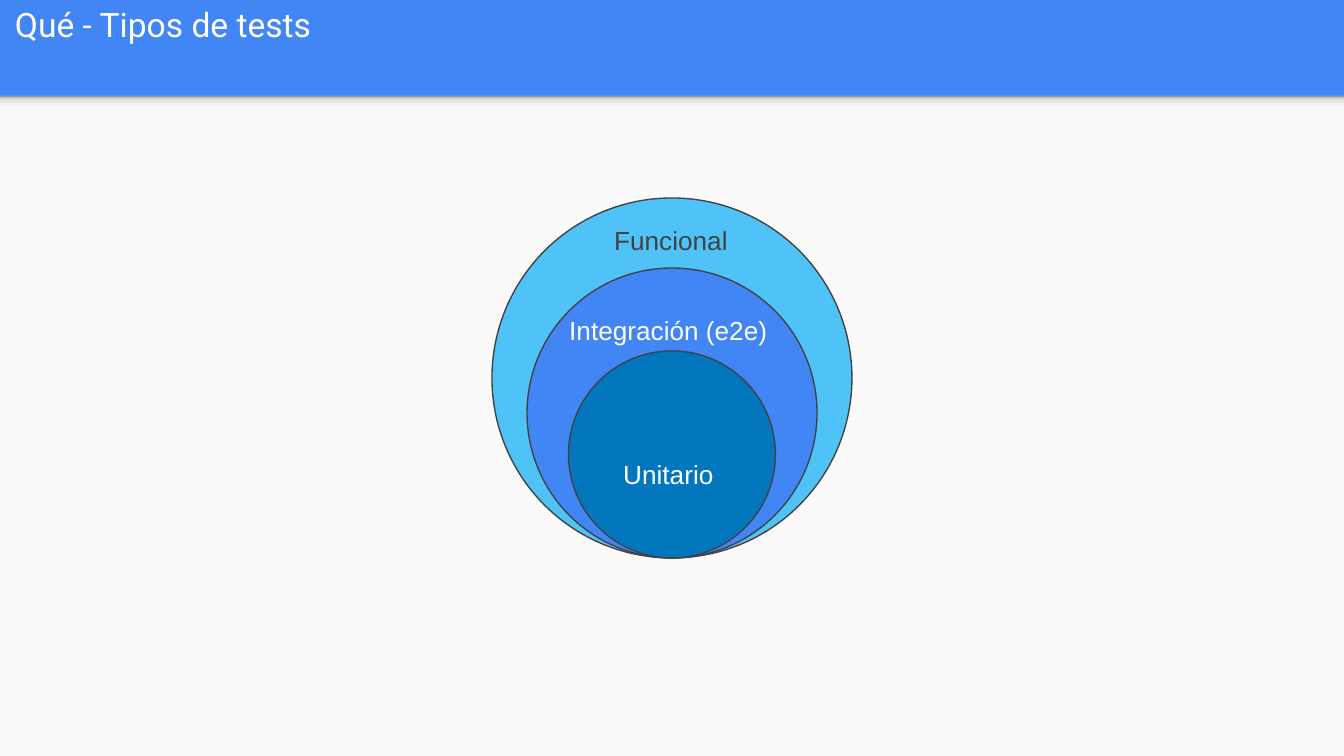
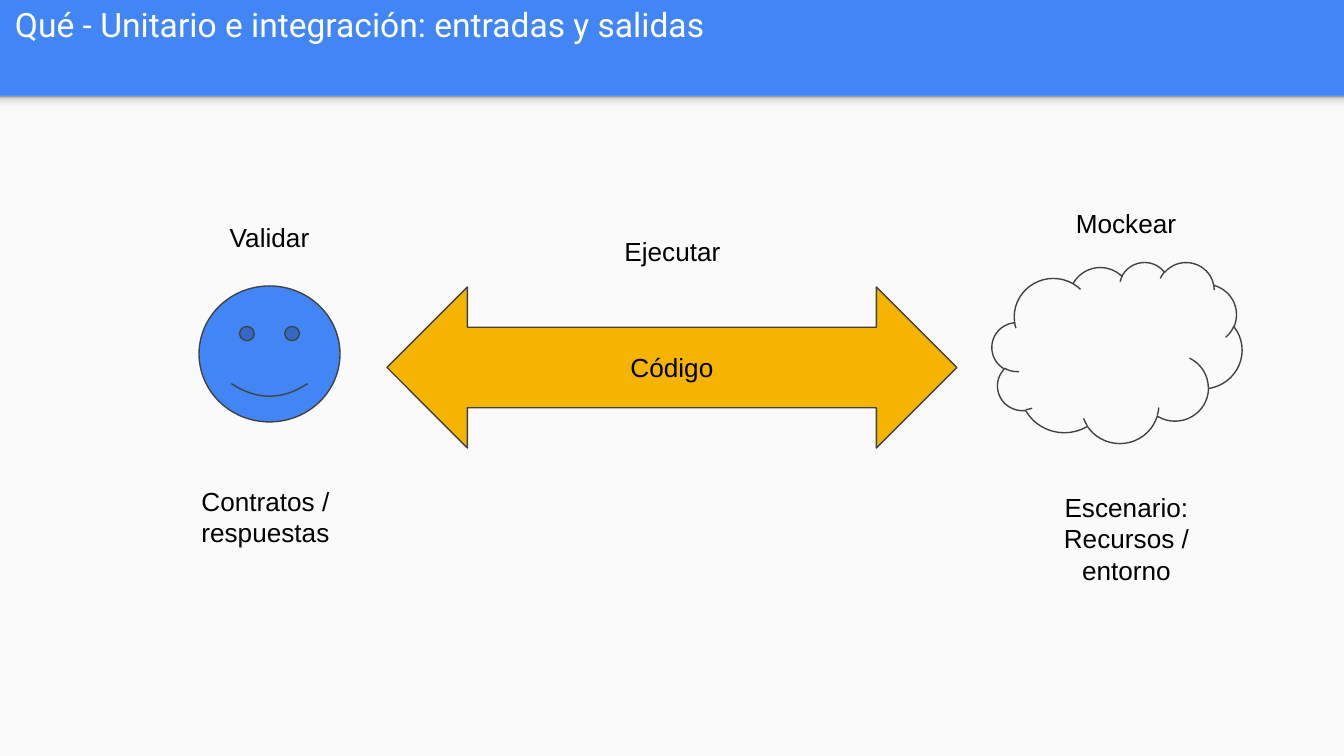
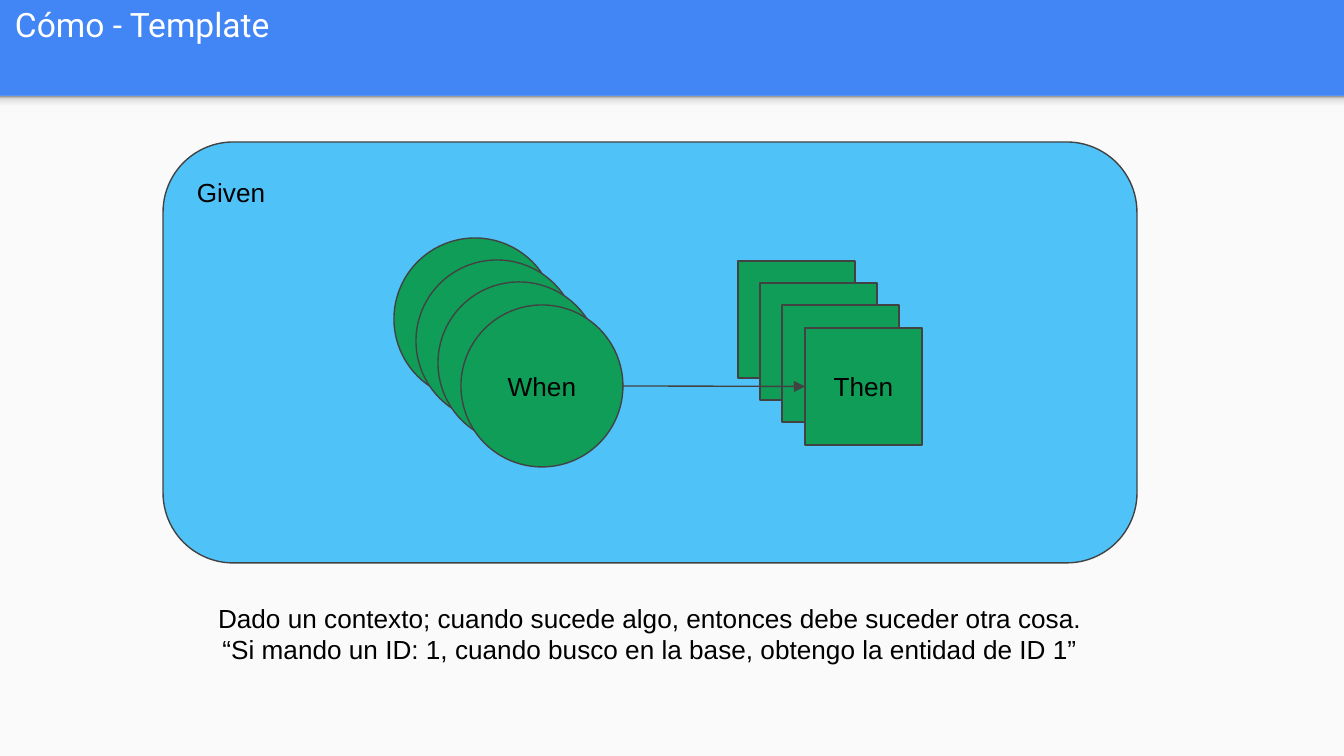
import copy
import pptx
import pptx.dml.color
import pptx.enum.dml
import pptx.enum.shapes
import pptx.enum.text
import pptx.oxml.ns
import pptx.util

RGB = pptx.dml.color.RGBColor
MSO = pptx.enum.shapes.MSO_SHAPE
ALIGN = pptx.enum.text.PP_ALIGN
ANCHOR = pptx.enum.text.MSO_ANCHOR
qn = pptx.oxml.ns.qn

BLUE = RGB(0x42, 0x85, 0xF4)
SKY = RGB(0x4F, 0xC3, 0xF7)
DEEP = RGB(0x02, 0x77, 0xBD)
GREEN = RGB(0x0F, 0x9D, 0x58)
AMBER = RGB(0xF4, 0xB4, 0x00)
PAPER = RGB(0xFA, 0xFA, 0xFA)
GREY = RGB(0x42, 0x42, 0x42)
BLACK = RGB(0x00, 0x00, 0x00)
WHITE = RGB(0xFF, 0xFF, 0xFF)
SHADE = [(0, RGB(0xF9, 0xF9, 0xF9)), (0.36, RGB(0xF9, 0xF9, 0xF9)),
         (0.8, RGB(0xDE, 0xDE, 0xDE)), (1, RGB(0x99, 0x99, 0x99))]
PX = 914400 / 134.4
W, H, HEAD = 1344, 756, 96
INSET = pptx.util.Inches(0.1)


def add_shape(slide, kind, box, fill):
    sp = slide.shapes.add_shape(kind, *[round(v * PX) for v in box])
    sp.shadow.inherit = False
    sp.fill.solid()
    sp.fill.fore_color.rgb = fill
    sp.line.color.rgb = GREY
    sp.line.width = pptx.util.Pt(0.75)
    return sp


def write(sp, text, color=BLACK, align=ALIGN.CENTER, anchor=ANCHOR.TOP,
          font="Arial", size=14, margins=(INSET,) * 4):
    tf = sp.text_frame
    tf.word_wrap = True
    tf.auto_size = pptx.enum.text.MSO_AUTO_SIZE.NONE
    tf.vertical_anchor = anchor
    tf.margin_left, tf.margin_top, tf.margin_right, tf.margin_bottom = margins
    for i, line in enumerate(text.split("\n")):
        p = tf.add_paragraph() if i else tf.paragraphs[0]
        p.alignment = align
        for j, part in enumerate(line.split("\v")):
            if j:
                p.add_line_break()
            r = p.add_run()
            r.text = part
            r.font.name = font
            r.font.size = pptx.util.Pt(size)
            r.font.color.rgb = color


prs = pptx.Presentation()
prs.slide_width = round(W * PX)
prs.slide_height = round(H * PX)

layout = prs.slide_layouts[5]
layout.background.fill.solid()
layout.background.fill.fore_color.rgb = BLUE
title = layout.placeholders[0]
title.left, title.top, title.width, title.height = [round(v * PX) for v in (15, 3, 1297, 89)]

slides = []
for text in ["Qué - Tipos de tests",
             "Qué - Unitario e integración: entradas y salidas",
             "Cómo - Template"]:
    slide = prs.slides.add_slide(layout)
    write(slide.shapes.title, text, WHITE, ALIGN.LEFT, font="Roboto", size=18,
          margins=(0, pptx.util.Inches(0.01), 0, 0))
    slides.append(slide)
types, flow, template = slides

panel = add_shape(types, MSO.RECTANGLE, (0, HEAD, W, H - HEAD), PAPER)
band = add_shape(types, MSO.RECTANGLE, (0, HEAD, W, 16), PAPER)
band.fill.gradient()
band.fill.gradient_angle = 90
stops = band.element.spPr.find(qn("a:gradFill")).find(qn("a:gsLst"))
for i in range(2):
    stops.append(copy.deepcopy(stops[0]))
for stop, (position, color) in zip(band.fill.gradient_stops, SHADE):
    stop.position = position
    stop.color.rgb = color
for i, sp in enumerate((panel, band)):
    sp.line.fill.background()
    layout.shapes.element.insert(2 + i, sp.element)

for size, fill in [(360, SKY), (290, BLUE), (207, DEEP)]:
    add_shape(types, MSO.OVAL, (W / 2 - size / 2, 558 - size, size, size), fill)

arrow = add_shape(flow, MSO.LEFT_RIGHT_ARROW, (387, 287, 570, 161), AMBER)
write(arrow, "Código", anchor=ANCHOR.MIDDLE)
add_shape(flow, MSO.CLOUD, (992, 262, 250, 181), PAPER)
add_shape(flow, MSO.SMILEY_FACE, (199, 286, 141, 136), BLUE)

given = add_shape(template, MSO.ROUNDED_RECTANGLE, (163, 142, 974, 421), SKY)
write(given, "Given", align=ALIGN.LEFT)
for i in range(4):
    shift = 67 * i // 3
    when = add_shape(template, MSO.OVAL, (394 + shift, 238 + shift, 162, 162), GREEN)
    then = add_shape(template, MSO.RECTANGLE, (738 + shift, 261 + shift, 117, 117), GREEN)
    write(when, "When", anchor=ANCHOR.MIDDLE)
    write(then, "Then", anchor=ANCHOR.MIDDLE)

middle = when.top + when.height // 2
link = template.shapes.add_connector(pptx.enum.shapes.MSO_CONNECTOR.STRAIGHT,
                                     when.left + when.width, middle, then.left, middle)
link.end_connect(then, 1)
link.line.color.rgb = GREY
link.line.width = pptx.util.Pt(0.75)
ln = link.line._get_or_add_ln()
ln.append(ln.makeelement(qn("a:tailEnd"), {"type": "triangle"}))
link.element.spPr.append(ln.makeelement(qn("a:effectLst"), {}))

for slide, text, box, color, align in [
    (types, "Unitario", (610, 445, 124, 55), WHITE, ALIGN.LEFT),
    (types, "Integración (e2e)", (556, 301, 233, 55), WHITE, ALIGN.LEFT),
    (types, "Funcional", (601, 211, 142, 55), GREY, ALIGN.LEFT),
    (flow, "Validar", (199, 208, 141, 65), BLACK, ALIGN.CENTER),
    (flow, "Contratos / respuestas", (180, 472, 171, 85), BLACK, ALIGN.CENTER),
    (flow, "Escenario:\vRecursos / entorno", (1011, 478, 231, 117), BLACK, ALIGN.CENTER),
    (flow, "Mockear", (1001, 194, 250, 55), BLACK, ALIGN.CENTER),
    (flow, "Ejecutar", (602, 222, 141, 65), BLACK, ALIGN.CENTER),
    (template, "Dado un contexto; cuando sucede algo, entonces debe suceder otra cosa.\n"
               "“Si mando un ID: 1, cuando busco en la base, obtengo la entidad de ID 1”",
     (163, 589, 974, 86), BLACK, ALIGN.CENTER),
]:
    sp = slide.shapes.add_textbox(*[round(v * PX) for v in box])
    write(sp, text, color, align)

prs.save("out.pptx")
